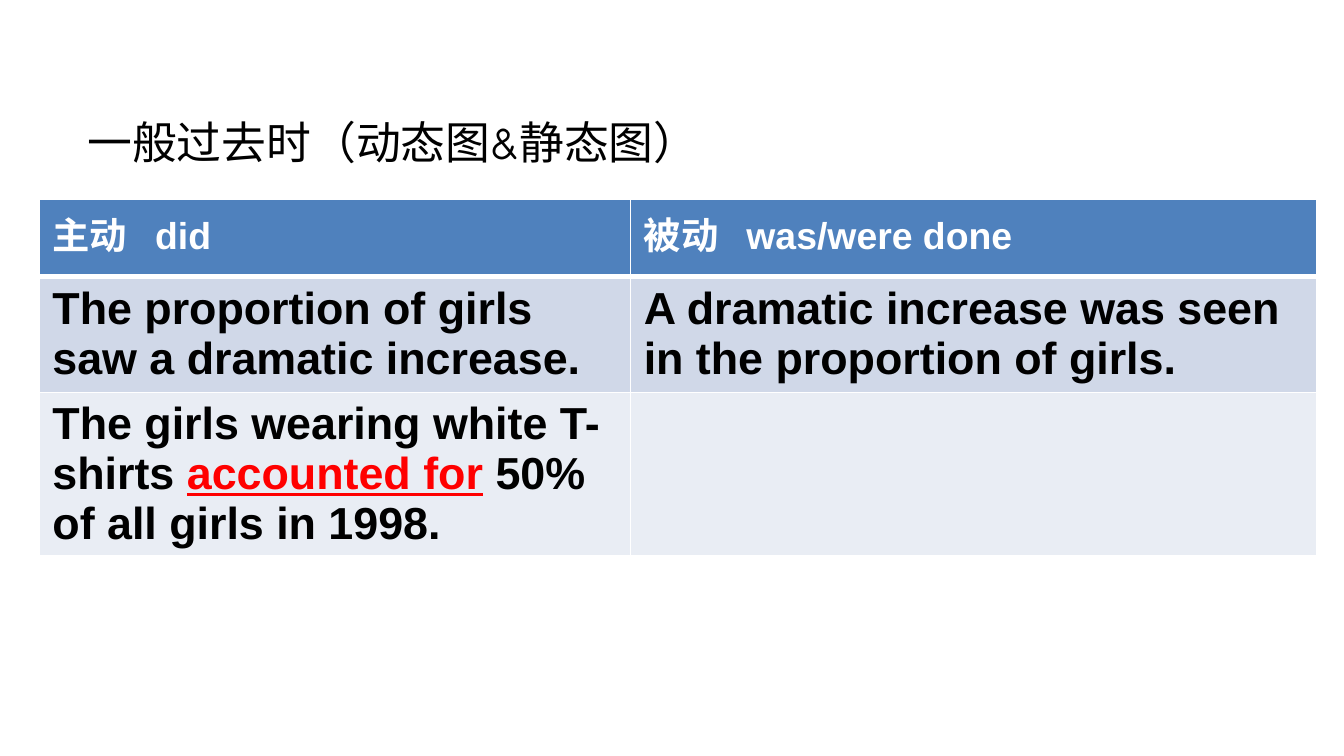
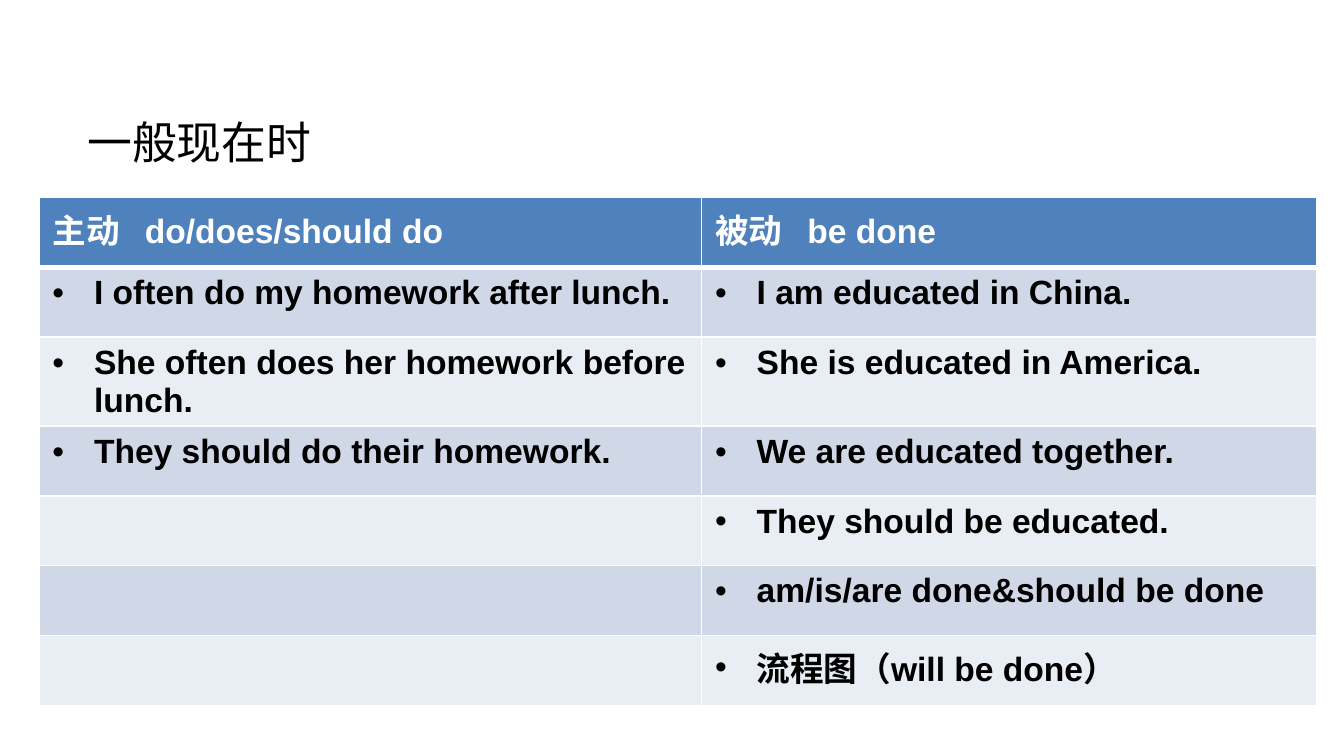
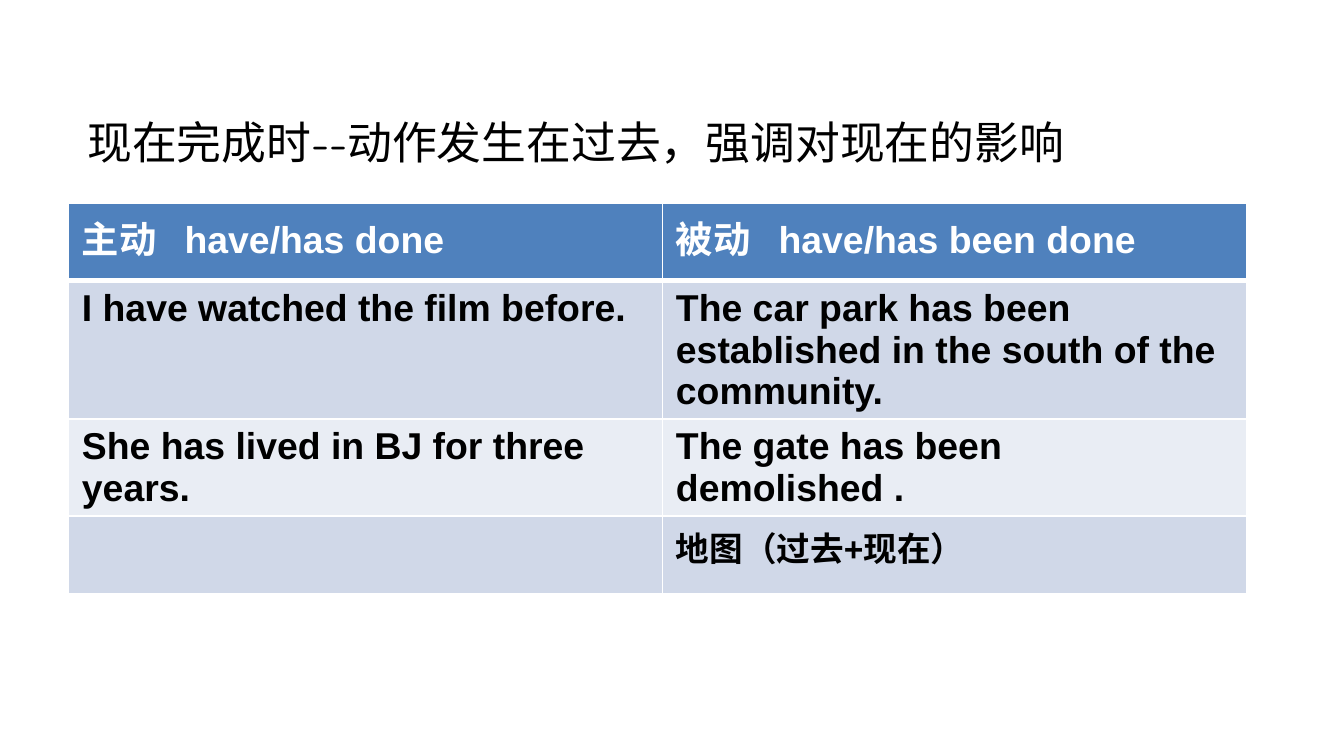
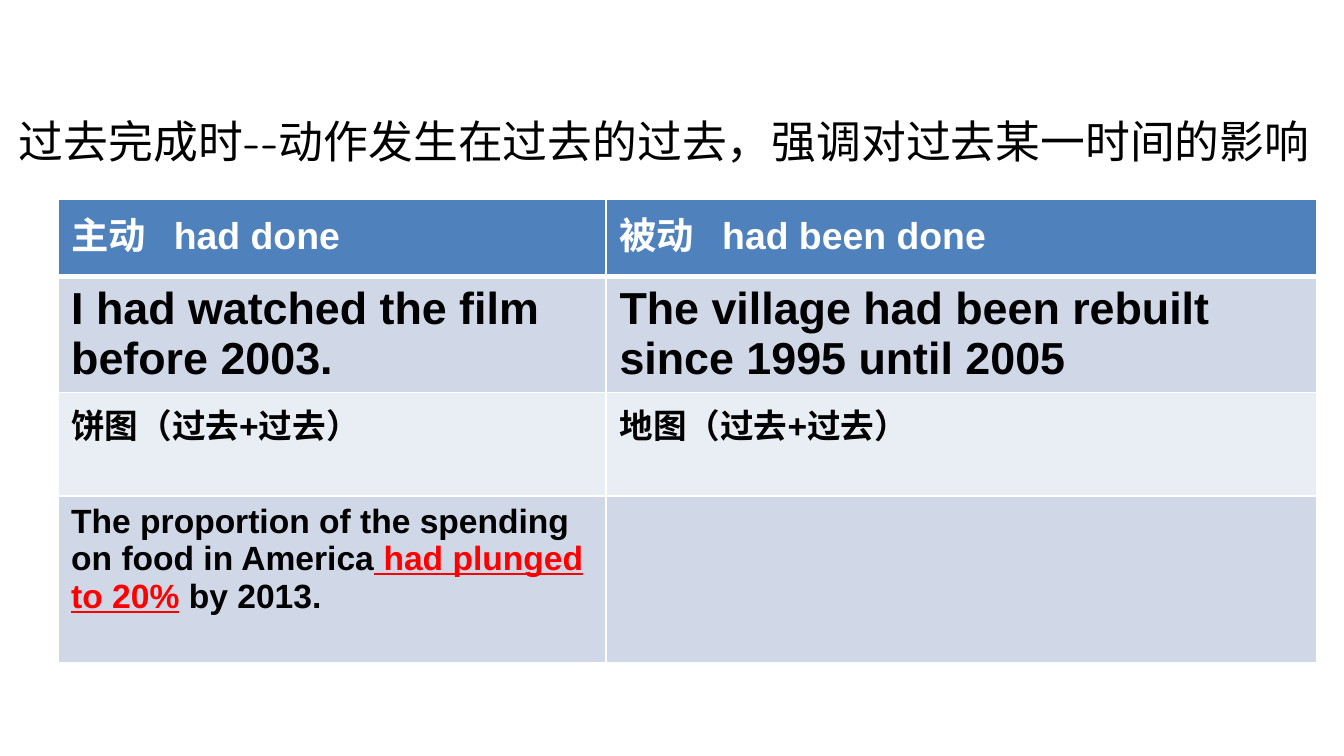
from lxml.etree import SubElement
from pptx import Presentation
from pptx.dml.color import RGBColor
from pptx.enum.text import MSO_ANCHOR, MSO_AUTO_SIZE, PP_ALIGN
from pptx.oxml.ns import qn
from pptx.util import Inches, Pt

TITLE_FONT = "Comic Neue"
TABLE_FONT = "Arial"
BLACK = "000000"
WHITE = "FFFFFF"
RED = "FF0000"
HEADER_FILL = "4F81BD"
BAND_FILLS = ("D0D8E8", "E9EDF4")


def color(value):
    return RGBColor.from_string(value)


def write(para, text, font=TABLE_FONT, size=18, fill=BLACK, bold=None, underline=None):
    span = para.add_run()
    span.text = text
    span.font.name = font
    span.font.size = Pt(size)
    span.font.color.rgb = color(fill)
    span.font.bold = bold
    span.font.underline = underline


def indent(para, left):
    properties = para._p.get_or_add_pPr()
    properties.set("marL", str(Inches(left)))
    properties.set("indent", str(-Inches(left)))
    return properties


class TenseDeck:
    def __init__(self):
        self.deck = Presentation()
        self.deck.slide_width = Inches(10)
        self.deck.slide_height = Inches(10 * 9 / 16)
        self.page = None

    def add_page(self, title, left=0.55, top=0.78, width=8.22):
        self.page = self.deck.slides.add_slide(self.deck.slide_layouts[5])
        box = self.page.shapes.title
        box.left, box.top = Inches(left), Inches(top)
        box.width, box.height = Inches(width), Inches(0.55)
        frame = box.text_frame
        frame.word_wrap = True
        frame.auto_size = MSO_AUTO_SIZE.NONE
        frame.vertical_anchor = MSO_ANCHOR.MIDDLE
        para = frame.paragraphs[0]
        para.alignment = PP_ALIGN.LEFT
        indent(para, 1)
        write(para, title, font=TITLE_FONT, size=24)

    def add_table(self, left, top, columns, heights, headings, rows, size, bullets=False):
        frame = self.page.shapes.add_table(
            len(heights), len(columns), Inches(left), Inches(top),
            Inches(sum(columns)), Inches(sum(heights)))
        table = frame.table
        for column, width in zip(table.columns, columns):
            column.width = Inches(width)
        for row, height in zip(table.rows, heights):
            row.height = Inches(height)
        for index, heading in enumerate(headings):
            self.fill_heading(table.cell(0, index), heading, size)
        for number, texts in enumerate(rows, 1):
            for index, content in enumerate(texts):
                cell = table.cell(number, index)
                self.style_cell(cell, BAND_FILLS[(number - 1) % 2], top=3 if number == 1 else 1)
                if content:
                    self.fill_cell(cell, content, bullets)

    def style_cell(self, cell, fill, top=1, bottom=1):
        properties = cell._tc.get_or_add_tcPr()
        for side, width in (("L", 1), ("R", 1), ("T", top), ("B", bottom)):
            line = SubElement(properties, qn(f"a:ln{side}"), w=str(Pt(width)))
            solid = SubElement(line, qn("a:solidFill"))
            SubElement(solid, qn("a:srgbClr"), val=WHITE)
        cell.fill.solid()
        cell.fill.fore_color.rgb = color(fill)

    def fill_heading(self, cell, heading, size):
        self.style_cell(cell, HEADER_FILL, bottom=3)
        para = cell.text_frame.paragraphs[0]
        tabs = SubElement(para._p.get_or_add_pPr(), qn("a:tabLst"))
        tab_position = Pt(size * 2.75)
        SubElement(tabs, qn("a:tab"), pos=str(tab_position), algn="l")
        write(para, "\t".join(heading), size=size, fill=WHITE, bold=True)

    def fill_cell(self, cell, content, bullets):
        size, *spans = content
        para = cell.text_frame.paragraphs[0]
        if bullets:
            properties = indent(para, 0.31)
            SubElement(properties, qn("a:buFont"), typeface=TABLE_FONT)
            SubElement(properties, qn("a:buChar"), char="•")
        for number, text in enumerate(spans):
            stressed = number == 1
            write(para, text, size=size, bold=True,
                  fill=RED if stressed else BLACK, underline=stressed or None)

    def save(self):
        self.deck.save("out.pptx")


def main():
    tenses = TenseDeck()

    tenses.add_page("一般过去时（动态图&静态图）", width=8.9)
    tenses.add_table(
        0.29, 1.48, (4.4, 5.11), (0.58, 0.86, 0.58),
        (("主动", "did"), ("被动", "was/were done")),
        [
            ((24, "The proportion of girls saw a dramatic increase."),
             (24, "A dramatic increase was seen in the proportion of girls.")),
            ((24, "The girls wearing white T-shirts ", "accounted for",
              " 50% of all girls in 1998."), None),
        ], size=20)

    tenses.add_page("一般现在时")
    active = ("I often do my homework after lunch.",
              "She often does her homework before lunch.",
              "They should do their homework.", None, None, None)
    passive = ("I am educated in China.", "She is educated in America.",
               "We are educated together.", "They should be educated.",
               "am/is/are done&should be done", "流程图（will be done）")
    tenses.add_table(
        0.29, 1.47, (4.93, 4.58), (0.52,) * 7,
        (("主动", "do/does/should do"), ("被动", "be done")),
        [[(18, text) if text else None for text in pair] for pair in zip(active, passive)],
        size=18, bullets=True)

    tenses.add_page("现在完成时--动作发生在过去，强调对现在的影响")
    tenses.add_table(
        0.51, 1.51, (4.42, 4.35), (0.58, 0.86, 0.58, 0.58),
        (("主动", "have/has done"), ("被动", "have/has been done")),
        [
            ((20, "I have watched the film before."),
             (20, "The car park has been established in the south of the community.")),
            ((20, "She has lived in BJ for three years."),
             (20, "The gate has been demolished .")),
            (None, (18, "地图（过去+现在）")),
        ], size=20)

    tenses.add_page("过去完成时--动作发生在过去的过去，强调对过去某一时间的影响",
                    left=0.04, top=0.77, width=9.86)
    tenses.add_table(
        0.43, 1.48, (4.08, 5.29), (0.58, 0.86, 0.77, 1.24),
        (("主动", "had done"), ("被动", "had been done")),
        [
            ((24, "I had watched the film before 2003."),
             (24, "The village had been rebuilt since 1995 until 2005")),
            ((18, "饼图（过去+过去）"), (18, "地图（过去+过去）")),
            ((18, "The proportion of the spending on food in America",
              " had plunged to 20%", " by 2013."), None),
        ], size=20)

    tenses.save()


if __name__ == "__main__":
    main()
